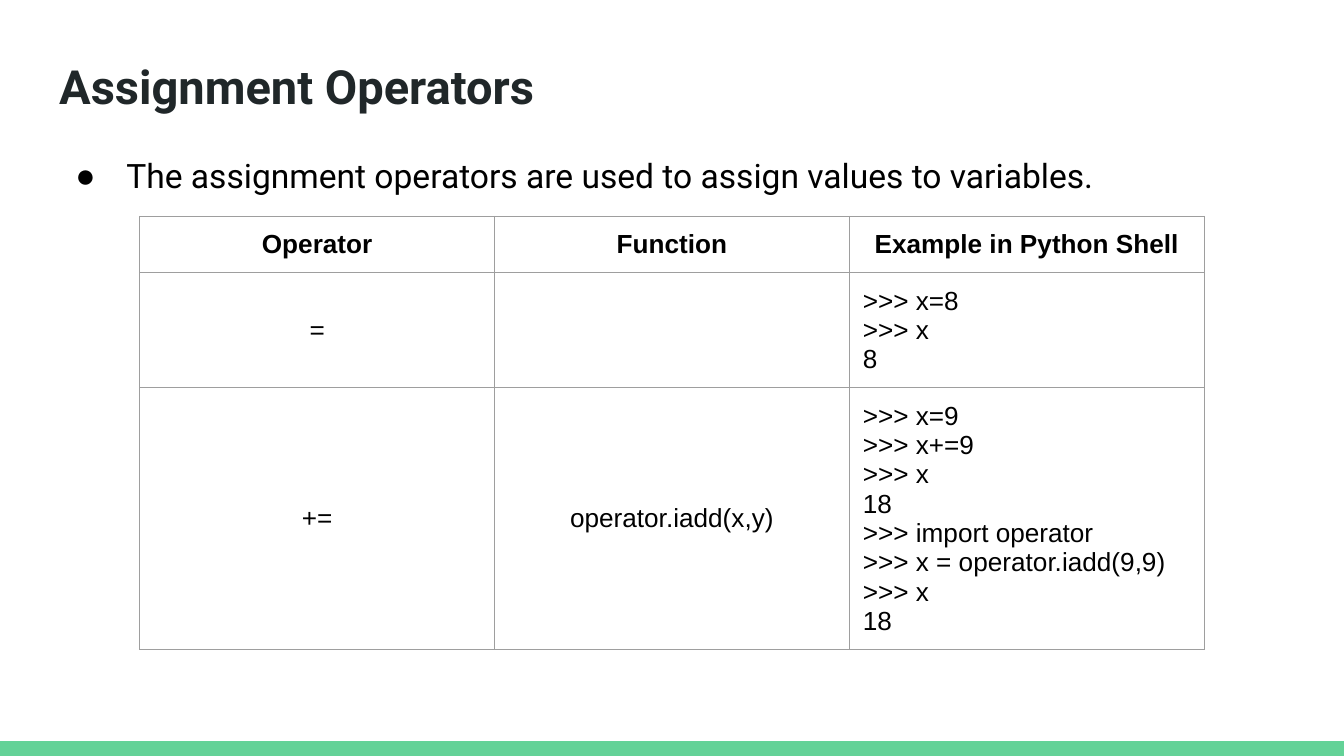
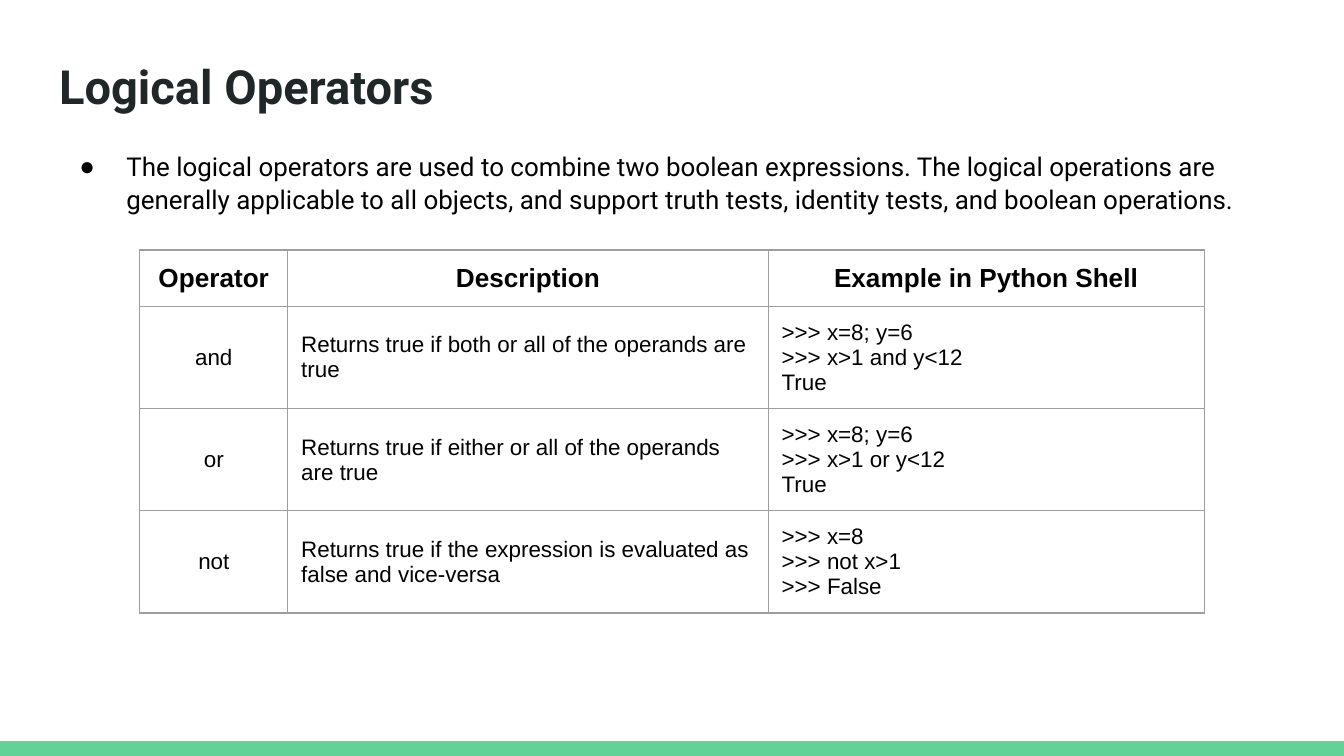
from dataclasses import dataclass

from lxml import etree
from pptx import Presentation
from pptx.dml.color import RGBColor
from pptx.enum.shapes import MSO_SHAPE
from pptx.enum.text import MSO_ANCHOR, MSO_AUTO_SIZE, PP_ALIGN
from pptx.oxml.ns import qn
from pptx.util import Inches, Pt

RECTANGLE = MSO_SHAPE.RECTANGLE
MIDDLE, TOP = MSO_ANCHOR.MIDDLE, MSO_ANCHOR.TOP
LEFT, CENTER = PP_ALIGN.LEFT, PP_ALIGN.CENTER
NO_AUTOFIT = MSO_AUTO_SIZE.NONE

SLIDE_WIDTH = Inches(10)
SLIDE_HEIGHT = SLIDE_WIDTH * 9 // 16


def columns(count):
    """Return a length of count hundredths of the slide's width."""
    return round(SLIDE_WIDTH * count / 100)


def rows(count):
    """Return a length of count hundredths of the slide's height."""
    return round(SLIDE_HEIGHT * count / 100)


@dataclass(frozen=True)
class Theme:
    """Colours, fonts and type sizes shared by the slides."""
    heading: str = "202729"
    text: str = "000000"
    band: str = "63D297"
    border: str = "9E9E9E"
    display_font: str = "Roboto"
    table_font: str = "Arial"
    title_size: float = 25.2
    header_size: float = 14
    border_width: float = 0.75


@dataclass(frozen=True)
class Box:
    """A region of the slide, in grid columns and rows."""
    left: float
    top: float
    width: float
    height: float

    def place(self, shape):
        """Move and size a shape to fill the box."""
        shape.left, shape.top = columns(self.left), rows(self.top)
        shape.width, shape.height = columns(self.width), rows(self.height)


@dataclass(frozen=True)
class Bullet:
    """The statement above a table and how it is set."""
    text: str
    size: float
    spacing: float
    hanging: float
    height: float


@dataclass(frozen=True)
class OperatorTable:
    """The cells of a table and how they are set."""
    cells: list
    weights: tuple
    alignments: tuple
    size: float
    top: float


THEME = Theme()
INSET = columns(1)
ROW_HEIGHT = 7.47
TITLE_BOX = Box(3.4, 5.69, 93.2, 11.2)
BAND_BOX = Box(0, 98.04, 100, 1.96)
BODY_TOP = 17.96
TABLE_LEFT, TABLE_WIDTH = 10.4, 79.2


def style_font(paragraph, name, size, color, bold=False):
    """Set the font of a whole paragraph."""
    font = paragraph.font
    font.name, font.size, font.bold = name, Pt(size), bold
    font.color.rgb = RGBColor.from_string(color)


def add_color(parent, color):
    """Append a plain RGB colour to an XML element."""
    etree.SubElement(parent, qn("a:srgbClr"), val=color)


def fill_placeholder(placeholder, box, text, anchor):
    """Place a placeholder, set its text and return its paragraph."""
    box.place(placeholder)
    frame = placeholder.text_frame
    frame.text = text
    frame.word_wrap, frame.auto_size = True, NO_AUTOFIT
    frame.vertical_anchor = anchor
    frame.margin_left = frame.margin_right = INSET
    frame.margin_top = frame.margin_bottom = INSET
    paragraph = frame.paragraphs[0]
    paragraph.alignment = LEFT
    return paragraph


def add_band(slide, box):
    """Draw the coloured band along the foot of the slide."""
    band = slide.shapes.add_shape(RECTANGLE, 0, 0, 0, 0)
    box.place(band)
    band.shadow.inherit = False
    band.fill.solid()
    band.fill.fore_color.rgb = RGBColor.from_string(THEME.band)
    band.line.fill.background()


def add_title(slide, box, text):
    """Fill the title placeholder."""
    paragraph = fill_placeholder(slide.shapes.title, box, text, MIDDLE)
    style_font(paragraph, THEME.display_font, THEME.title_size, THEME.heading, True)


def add_bullet(slide, box, bullet):
    """Fill the body placeholder with one bulleted statement."""
    paragraph = fill_placeholder(slide.placeholders[1], box, bullet.text, TOP)
    properties = paragraph._p.get_or_add_pPr()
    properties.set("marL", str(columns(5)))
    properties.set("indent", str(-columns(bullet.hanging)))
    add_color(etree.SubElement(properties, qn("a:buClr")), THEME.text)
    etree.SubElement(properties, qn("a:buChar"), char="●")
    paragraph.line_spacing = bullet.spacing
    paragraph.space_before = Pt(0)
    style_font(paragraph, THEME.display_font, bullet.size, THEME.text)


def style_cell(cell):
    """Give a cell thin borders, no fill and even margins."""
    properties = cell._tc.get_or_add_tcPr()
    for side in ("lnL", "lnR", "lnT", "lnB"):
        line = etree.SubElement(properties, qn(f"a:{side}"),
                                w=str(Pt(THEME.border_width)))
        add_color(etree.SubElement(line, qn("a:solidFill")), THEME.border)
    cell.fill.background()
    cell.vertical_anchor = MIDDLE
    cell.margin_left = cell.margin_right = INSET
    cell.margin_top = cell.margin_bottom = INSET


def add_operator_table(slide, box, content):
    """Draw a table whose column widths are shares of the box."""
    frame = slide.shapes.add_table(
        len(content.cells), len(content.weights), columns(box.left),
        rows(box.top), columns(box.width), rows(box.height))
    table = frame.table
    table.horz_banding = False
    for column, weight in zip(table.columns, content.weights):
        column.width = columns(box.width * weight / sum(content.weights))
    for row_index, texts in enumerate(content.cells):
        header = row_index == 0
        size = THEME.header_size if header else content.size
        for column_index, text in enumerate(texts):
            cell = table.cell(row_index, column_index)
            style_cell(cell)
            cell.text_frame.text = text
            for paragraph in cell.text_frame.paragraphs:
                paragraph.alignment = CENTER if header else content.alignments[column_index]
                style_font(paragraph, THEME.table_font, size, THEME.text, header)


def add_operator_slide(presentation, title, bullet, content):
    """Add a slide with a title, a statement and a table."""
    slide = presentation.slides.add_slide(presentation.slide_layouts[1])
    add_band(slide, BAND_BOX)
    add_title(slide, TITLE_BOX, title)
    add_bullet(slide, Box(TITLE_BOX.left, BODY_TOP, TITLE_BOX.width, bullet.height), bullet)
    height = ROW_HEIGHT * len(content.cells)
    add_operator_table(slide, Box(TABLE_LEFT, content.top, TABLE_WIDTH, height), content)


ASSIGNMENT_BULLET = Bullet(
    "The assignment operators are used to assign values to variables.",
    size=18, spacing=1.15, hanging=3.8, height=9.6)
ASSIGNMENT_TABLE = OperatorTable(
    cells=[
        ("Operator", "Function", "Example in Python Shell"),
        ("=", "", ">>> x=8\n>>> x\n8"),
        ("+=", "operator.iadd(x,y)",
         ">>> x=9\n>>> x+=9\n>>> x\n18\n>>> import operator\n"
         ">>> x = operator.iadd(9,9)\n>>> x\n18"),
    ],
    weights=(1, 1, 1), alignments=(CENTER, CENTER, LEFT), size=14, top=28.62)

LOGICAL_BULLET = Bullet(
    "The logical operators are used to combine two boolean expressions. "
    "The logical operations are generally applicable to all objects, and "
    "support truth tests, identity tests, and boolean operations.",
    size=13.9, spacing=1.05, hanging=3.5, height=12.27)
LOGICAL_TABLE = OperatorTable(
    cells=[
        ("Operator", "Description", "Example in Python Shell"),
        ("and", "Returns true if both or all of the operands are true",
         ">>> x=8; y=6\n>>> x>1 and y<12\nTrue"),
        ("or", "Returns true if either or all of the operands are true",
         ">>> x=8; y=6\n>>> x>1 or y<12\nTrue"),
        ("not", "Returns true if the expression is evaluated as false and vice-versa",
         ">>> x=8\n>>> not x>1\n>>> False"),
    ],
    weights=(1.1, 3.57, 3.24), alignments=(CENTER, LEFT, LEFT), size=12, top=33.07)


def main():
    """Build and save the presentation."""
    presentation = Presentation()
    presentation.slide_width, presentation.slide_height = SLIDE_WIDTH, SLIDE_HEIGHT
    add_operator_slide(presentation, "Assignment Operators",
                       ASSIGNMENT_BULLET, ASSIGNMENT_TABLE)
    add_operator_slide(presentation, "Logical Operators",
                       LOGICAL_BULLET, LOGICAL_TABLE)
    presentation.save("out.pptx")


if __name__ == "__main__":
    main()
